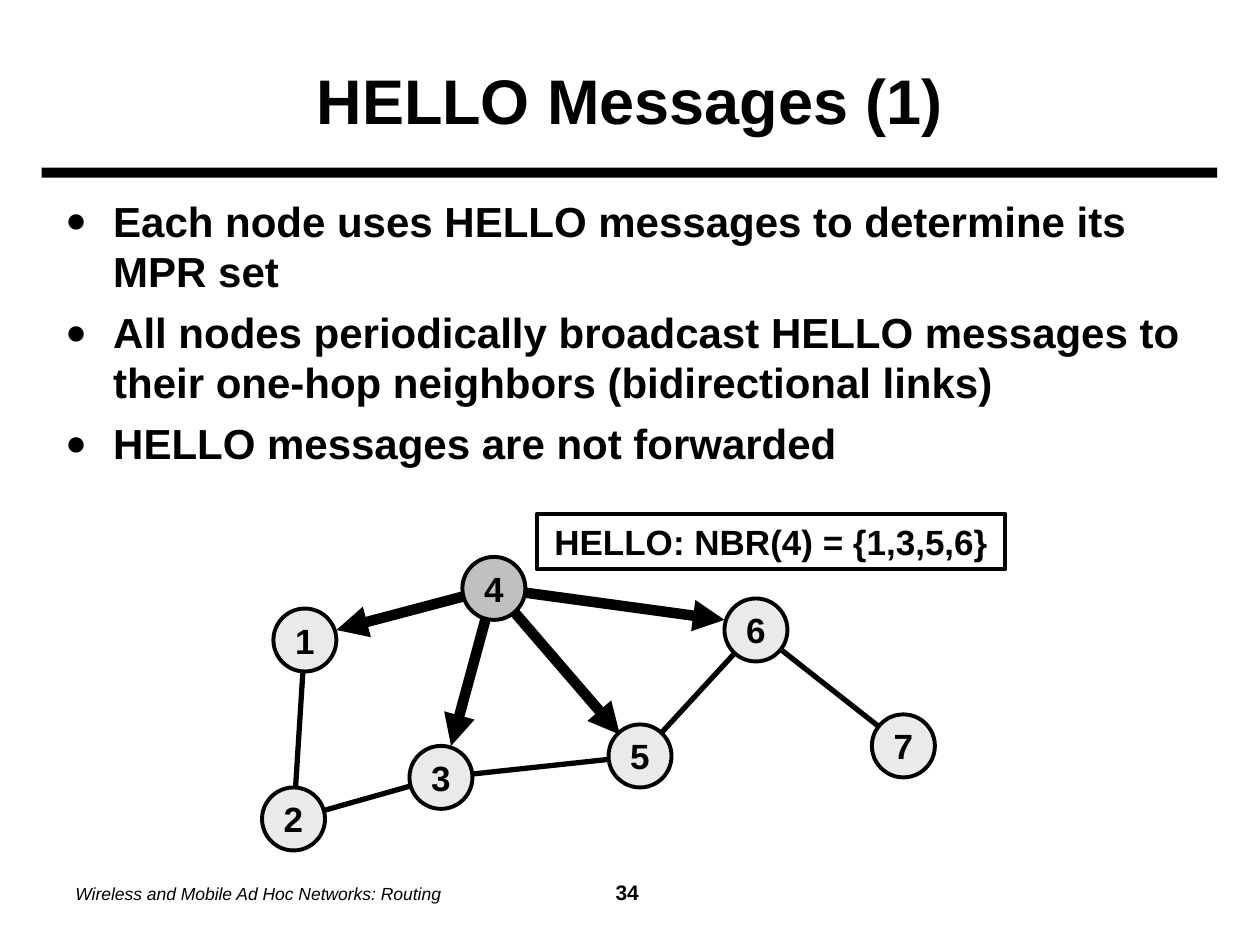
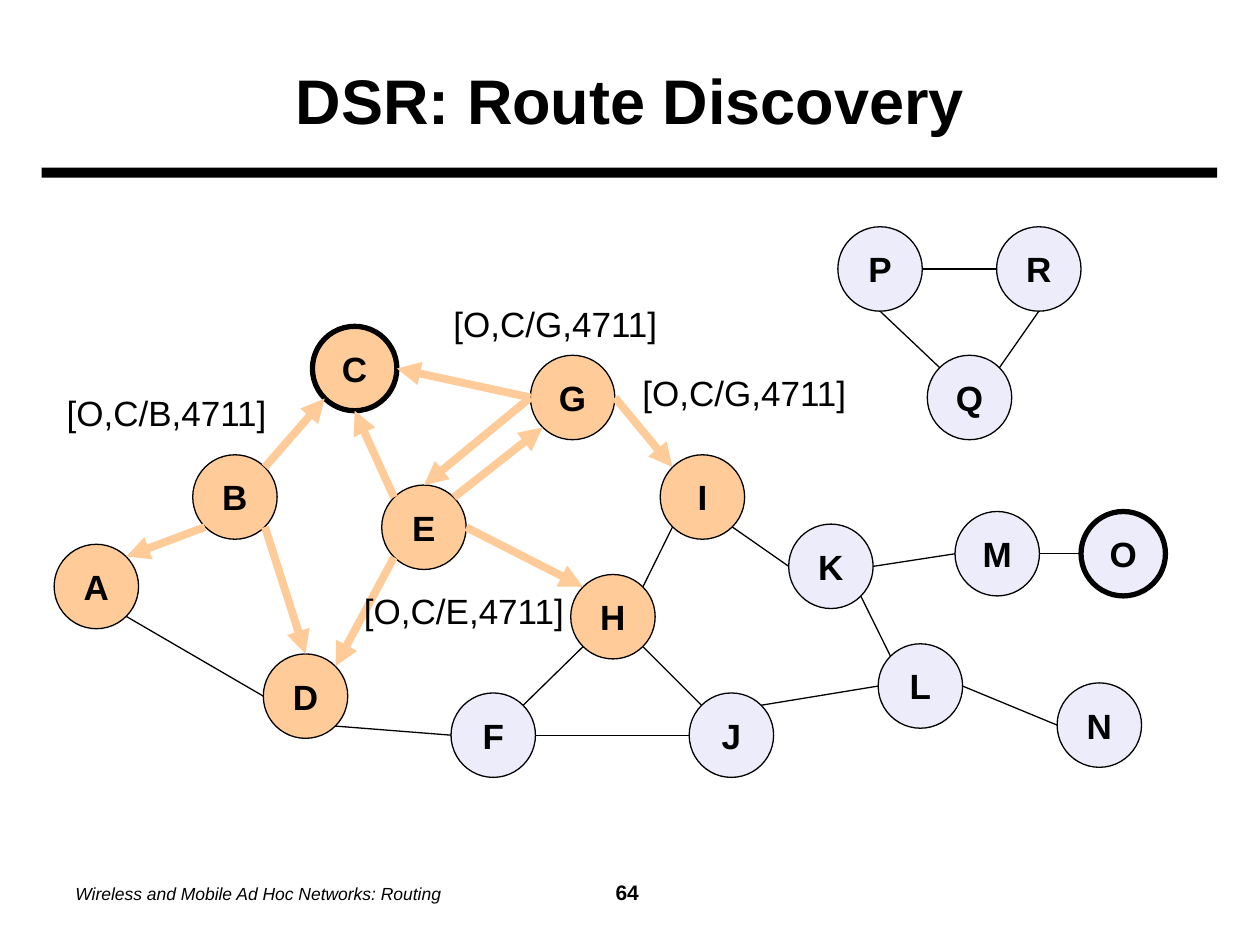
from typing import NamedTuple

from lxml import etree
from pptx import Presentation
from pptx import util as u
from pptx.dml import color
from pptx.enum import shapes, text
from pptx.oxml import ns

# Shared style
FONT = "Arial"
BLACK, GREY, PALE = "000000", "C0C0C0", "EAEAEA"
PEACH, MIST = "FFCC99", "ECECFA"
FOOTER = "Wireless and Mobile Ad Hoc Networks: Routing"
LEFT, MID = text.PP_ALIGN.LEFT, text.PP_ALIGN.CENTER
TOP, CENTRE = text.MSO_ANCHOR.TOP, text.MSO_ANCHOR.MIDDLE

# Unit offsets from a node's centre to the points where links attach
DIAG = 0.71
SIDES = {"C": (0, 0), "N": (0, -1), "S": (0, 1), "W": (-1, 0), "E": (1, 0),
         "NW": (-DIAG, -DIAG), "NE": (DIAG, -DIAG),
         "SW": (-DIAG, DIAG), "SE": (DIAG, DIAG)}


class Point(NamedTuple):
    x: float
    y: float


class Box(NamedTuple):
    x: float
    y: float
    w: float
    h: float

    def lengths(self) -> list:
        return [u.Inches(v) for v in self]


class Node(NamedTuple):
    name: str
    x: float
    y: float
    size: float
    fill: str
    line: float

    def at(self, side: str) -> Point:
        dx, dy = SIDES[side]
        half = self.size / 2
        return Point(self.x + half + dx * half, self.y + half + dy * half)


class Link(NamedTuple):
    start: str
    out: str
    end: str
    into: str


class Label(NamedTuple):
    words: str
    x: float
    y: float


def rgb(code: str) -> color.RGBColor:
    return color.RGBColor.from_string(code)


def add_xml(parent, tag: str, **attrs: str):
    return etree.SubElement(parent, ns.qn(tag), attrs)


def style(run, size: float, bold: bool = False, italic: bool = False) -> None:
    font = run.font
    font.name, font.size = FONT, u.Pt(size)
    font.bold, font.italic = bold, italic
    font.color.rgb = rgb(BLACK)


def write(shape, words: str, size: float, bold: bool = True, align=MID,
          anchor=CENTRE, wrap: bool = False) -> None:
    frame = shape.text_frame
    frame.text = words
    frame.word_wrap, frame.vertical_anchor = wrap, anchor
    for para in frame.paragraphs:
        para.alignment = align
        for run in para.runs:
            style(run, size, bold)


def add_box(slide, box: Box, words: str, size: float, **kind):
    shape = slide.shapes.add_textbox(*box.lengths())
    write(shape, words, size, **kind)
    return shape


def add_node(slide, node: Node) -> None:
    box = Box(node.x, node.y, node.size, node.size)
    shape = slide.shapes.add_shape(shapes.MSO_SHAPE.OVAL, *box.lengths())
    shape.shadow.inherit = False
    shape.fill.solid()
    shape.fill.fore_color.rgb = rgb(node.fill)
    shape.line.color.rgb = rgb(BLACK)
    shape.line.width = u.Pt(node.line)
    write(shape, node.name, 20)


def add_line(slide, start: Point, end: Point, shade: str, width: float,
             arrow: bool = False) -> None:
    line = slide.shapes.add_connector(
        shapes.MSO_CONNECTOR.STRAIGHT,
        *(u.Inches(v) for v in (*start, *end)))
    line.line.color.rgb = rgb(shade)
    line.line.width = u.Pt(width)
    if arrow:
        add_xml(line.line._get_or_add_ln(), "a:tailEnd", type="triangle")
    add_xml(line._element.spPr, "a:effectLst")


def add_links(slide, nodes: dict[str, Node], links: list[Link], shade: str,
              width: float, arrow: bool = False) -> None:
    for link in links:
        add_line(slide, nodes[link.start].at(link.out),
                 nodes[link.end].at(link.into), shade, width, arrow)


def add_slide(deck, title: str, number: int):
    slide = deck.slides.add_slide(deck.slide_layouts[6])
    # Band under the title
    band = slide.shapes.add_shape(shapes.MSO_SHAPE.RECTANGLE,
                                  *Box(0.33, 1.33, 9.33, 0.08).lengths())
    band.shadow.inherit = False
    band.fill.solid()
    band.fill.fore_color.rgb = rgb(BLACK)
    band.line.fill.background()
    # Footer with the number on a centred tab
    foot = add_box(slide, Box(0.5, 6.83, 9, 0.5), "", 10, wrap=True, align=LEFT)
    para = foot.text_frame.paragraphs[0]
    tabs = add_xml(para._p.get_or_add_pPr(), "a:tabLst")
    add_xml(tabs, "a:tab", pos=str(u.Inches(4.38)), algn="ctr")
    name, page = para.add_run(), para.add_run()
    name.text, page.text = FOOTER, f"\t{number}"
    style(name, 10, italic=True)
    style(page, 12, bold=True)
    add_box(slide, Box(0.5, 0.25, 9, 1.08), title, 36, wrap=True)
    return slide


def add_points(slide, box: Box, lines: list[str]) -> None:
    body = add_box(slide, box, "\n".join(lines), 24, align=LEFT, anchor=TOP,
                   wrap=True)
    hang = u.Inches(0.38)
    for i, para in enumerate(body.text_frame.paragraphs):
        props = para._p.get_or_add_pPr()
        props.set("marL", str(hang))
        props.set("indent", str(-hang))
        shade = add_xml(props, "a:buClr")
        add_xml(shade, "a:srgbClr", val=BLACK)
        add_xml(props, "a:buSzPct", val="85000")
        add_xml(props, "a:buFont", typeface=FONT)
        add_xml(props, "a:buChar", char="●")
        para.space_before = u.Pt(6 if i else 0)


def hello(deck) -> None:
    slide = add_slide(deck, "HELLO Messages (1)", 34)
    add_points(slide, Box(0.42, 1.5, 9.08, 5.25), [
        "Each node uses HELLO messages to determine its MPR set",
        "All nodes periodically broadcast HELLO messages to their one-hop "
        "neighbors (bidirectional links)",
        "HELLO messages are not forwarded"])

    # Network, with node 4 sending to its neighbours
    spots = {"1": (2.17, 4.83), "2": (2.08, 6.25), "3": (3.25, 5.92),
             "4": (3.67, 4.42), "5": (4.83, 5.75), "6": (5.75, 4.75),
             "7": (6.92, 5.67)}
    nodes = {name: Node(name, *spot, 0.5, GREY if name == "4" else PALE, 2.25)
             for name, spot in spots.items()}
    pairs = ["12", "23", "35", "56", "67"]
    add_links(slide, nodes, [Link(a, "C", b, "C") for a, b in pairs], BLACK, 3)
    for tip in (Point(2.67, 5), Point(3.58, 5.92), Point(4.92, 5.83),
                Point(5.75, 4.92)):
        add_line(slide, nodes["4"].at("C"), tip, BLACK, 6, arrow=True)
    for node in nodes.values():
        add_node(slide, node)

    # Message frame
    note = add_box(slide, Box(4.26, 4.08, 3.72, 0.44),
                   "HELLO: NBR(4) = {1,3,5,6}", 20, anchor=TOP)
    note.line.color.rgb = rgb(BLACK)
    note.line.width = u.Pt(2.25)


def route(deck) -> None:
    slide = add_slide(deck, "DSR: Route Discovery", 64)
    spots = {"A": (0.43, 4.32), "B": (1.53, 3.61), "C": (2.48, 2.59),
             "D": (2.09, 5.19), "E": (3.03, 3.85), "F": (3.58, 5.5),
             "G": (4.21, 2.82), "H": (4.53, 4.56), "I": (5.24, 3.61),
             "J": (5.47, 5.5), "K": (6.26, 4.16), "L": (6.97, 5.11),
             "M": (7.58, 4.06), "N": (8.39, 5.42), "O": (8.58, 4.06),
             "P": (6.65, 1.8), "Q": (7.36, 2.82), "R": (7.91, 1.8)}
    # Peach nodes were reached; C and O are the route's two ends
    nodes = {name: Node(name, *spot, 0.67,
                        PEACH if name in "ABCDEGHI" else MIST,
                        3 if name in "CO" else 0.75)
             for name, spot in spots.items()}
    for node in nodes.values():
        add_node(slide, node)

    idle = [Link("A", "SE", "D", "W"), Link("F", "W", "D", "SE"),
            Link("H", "SW", "F", "NE"), Link("I", "SW", "H", "NE"),
            Link("J", "NW", "H", "SE"), Link("J", "W", "F", "E"),
            Link("K", "W", "I", "SE"), Link("L", "W", "J", "NE"),
            Link("L", "NW", "K", "SE"), Link("M", "W", "K", "E"),
            Link("N", "W", "L", "E"), Link("O", "W", "M", "E"),
            Link("P", "S", "Q", "NW"), Link("P", "E", "R", "W"),
            Link("Q", "NE", "R", "S")]
    sent = [Link("B", "SW", "A", "NE"), Link("B", "SE", "D", "N"),
            Link("B", "NE", "C", "SW"), Link("E", "NW", "C", "S"),
            Link("E", "E", "H", "NW"), Link("E", "SW", "D", "NE"),
            Link("E", "NE", "G", "SW"), Link("G", "W", "C", "E"),
            Link("G", "W", "E", "N"), Link("G", "E", "I", "NW")]
    add_links(slide, nodes, idle, BLACK, 0.75)
    add_links(slide, nodes, sent, PEACH, 4.5, arrow=True)

    # Request labels
    for label in (Label("[O,C/G,4711]", 5, 2.9), Label("[O,C/G,4711]", 3.5, 2.35),
                  Label("[O,C/B,4711]", 0.43, 3.06),
                  Label("[O,C/E,4711]", 2.79, 4.63)):
        add_box(slide, Box(label.x, label.y, 1.82, 0.44), label.words, 20,
                bold=False, align=LEFT, anchor=TOP)


def main() -> None:
    deck = Presentation()
    deck.slide_width, deck.slide_height = u.Inches(10), u.Inches(7.5)
    hello(deck)
    route(deck)
    deck.save("out.pptx")


if __name__ == "__main__":
    main()
